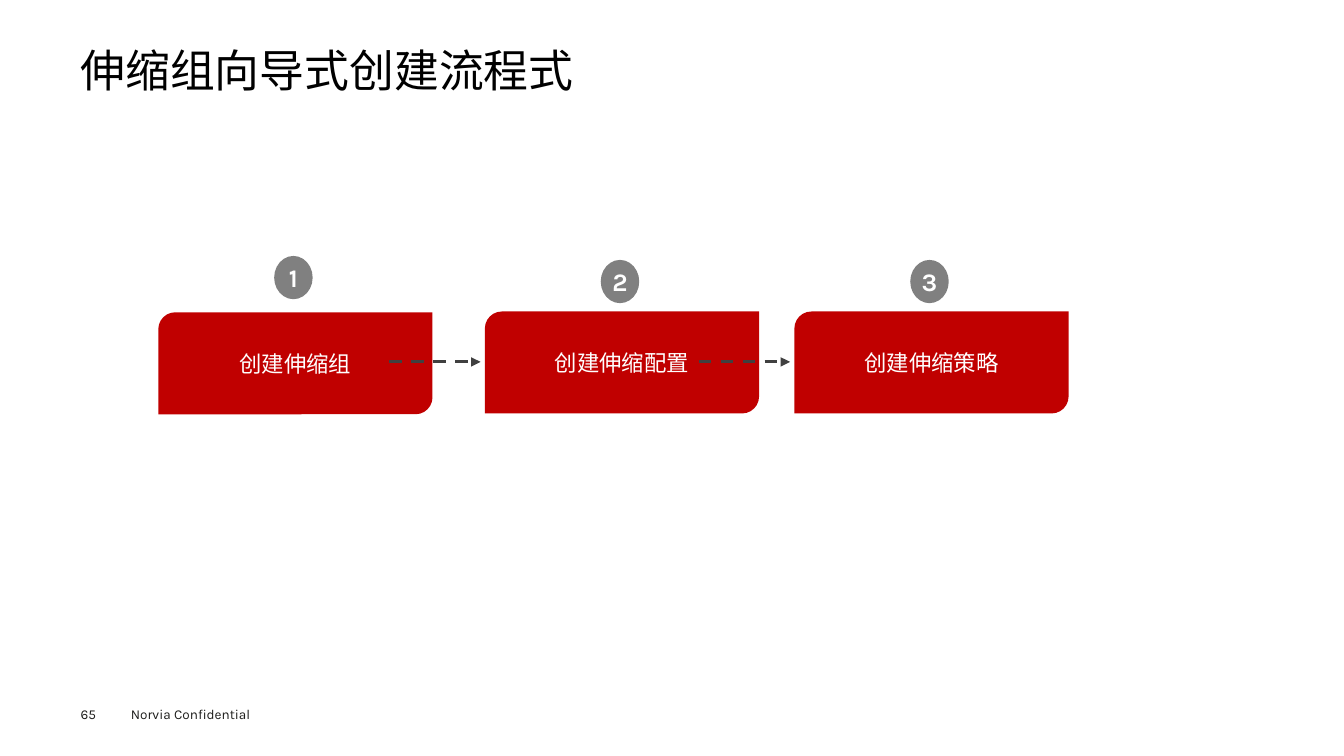
from lxml.etree import SubElement
from pptx import Presentation
from pptx.dml.color import RGBColor
from pptx.enum.dml import MSO_LINE
from pptx.enum.shapes import MSO_CONNECTOR, MSO_SHAPE
from pptx.enum.text import MSO_ANCHOR as Anchor, PP_ALIGN as Align
from pptx.oxml.ns import qn
from pptx.util import Cm, Pt

FONT = "Karla"
HUES = {"red": "C00000", "gray": "808080", "dark": "404040",
        "ink": "1D1D1B", "black": "000000", "white": "FFFFFF"}
STEPS = [("创建伸缩组", 3.99, 7.87, 6.45),
         ("创建伸缩配置", 12.22, 7.85, 6.55),
         ("创建伸缩策略", 20.02, 7.85, 6.55)]


def hue(name):
    return RGBColor.from_string(HUES[name])


def write(shape, text, size, color, bold=False, align=Align.LEFT,
          anchor=Anchor.TOP, inset=(0, 0), after=0, line=None):
    frame = shape.text_frame
    frame.word_wrap = True
    frame.vertical_anchor = anchor
    frame.margin_left = frame.margin_right = Cm(inset[0])
    frame.margin_top = frame.margin_bottom = Cm(inset[1])
    para = frame.paragraphs[0]
    para.text = text
    para.alignment = align
    para.space_before, para.space_after = Pt(0), Pt(after)
    para.line_spacing = line
    font = para.font
    font.name, font.size, font.bold = FONT, Pt(size), bold
    font.color.rgb = hue(color)


def label(slide, box, text, **form):
    write(slide.shapes.add_textbox(*map(Cm, box)), text, **form)


def block(slide, kind, box, fill, text, **form):
    shape = slide.shapes.add_shape(kind, *map(Cm, box))
    shape.shadow.inherit = False
    shape.fill.solid()
    shape.fill.fore_color.rgb = hue(fill)
    shape.line.fill.background()
    write(shape, text, color="white", align=Align.CENTER,
          anchor=Anchor.MIDDLE, after=4.5, **form)


def arrow(slide, start, end, y):
    link = slide.shapes.add_connector(
        MSO_CONNECTOR.STRAIGHT, Cm(start), Cm(y), Cm(end), Cm(y))
    link.line.color.rgb = hue("dark")
    link.line.width = Pt(2.25)
    link.line.dash_style = MSO_LINE.DASH
    props = link.line._get_or_add_ln()
    SubElement(props, qn("a:tailEnd"), type="triangle")
    SubElement(props.getparent(), qn("a:effectLst"))


def step(slide, num, name, left, top, badge):
    if num > 1:
        arrow(slide, left - 2.41, left - 0.11, 9.12)
    block(slide, MSO_SHAPE.ROUND_2_DIAG_RECTANGLE, (left, top, 6.91, 2.57),
          "red", name, size=16, inset=(0.25, 0.13))
    block(slide, MSO_SHAPE.OVAL, (left + 2.92, badge, 0.97, 1.09),
          "gray", str(num), size=18, bold=True)


def main():
    """Build the scaling group workflow slide."""
    deck = Presentation()
    deck.slide_width, deck.slide_height = Cm(33.87), Cm(19.05)
    slide = deck.slides.add_slide(deck.slide_layouts[5])
    title = slide.shapes.title
    title.left, title.top = Cm(2.03), Cm(1.24)
    title.width, title.height = Cm(29.79), Cm(1.37)
    write(title, "伸缩组向导式创建流程式", size=32, color="black", line=0.9)
    label(slide, (3.05, 17.65, 4.06, 0.69), "Norvia Confidential",
          size=9.7, color="ink", inset=(0.25, 0.13))
    label(slide, (2.03, 17.78, 1.4, 0.41), "65", size=9.7, color="ink")
    for num, spot in enumerate(STEPS, 1):
        step(slide, num, *spot)
    deck.save("out.pptx")


if __name__ == "__main__":
    main()
